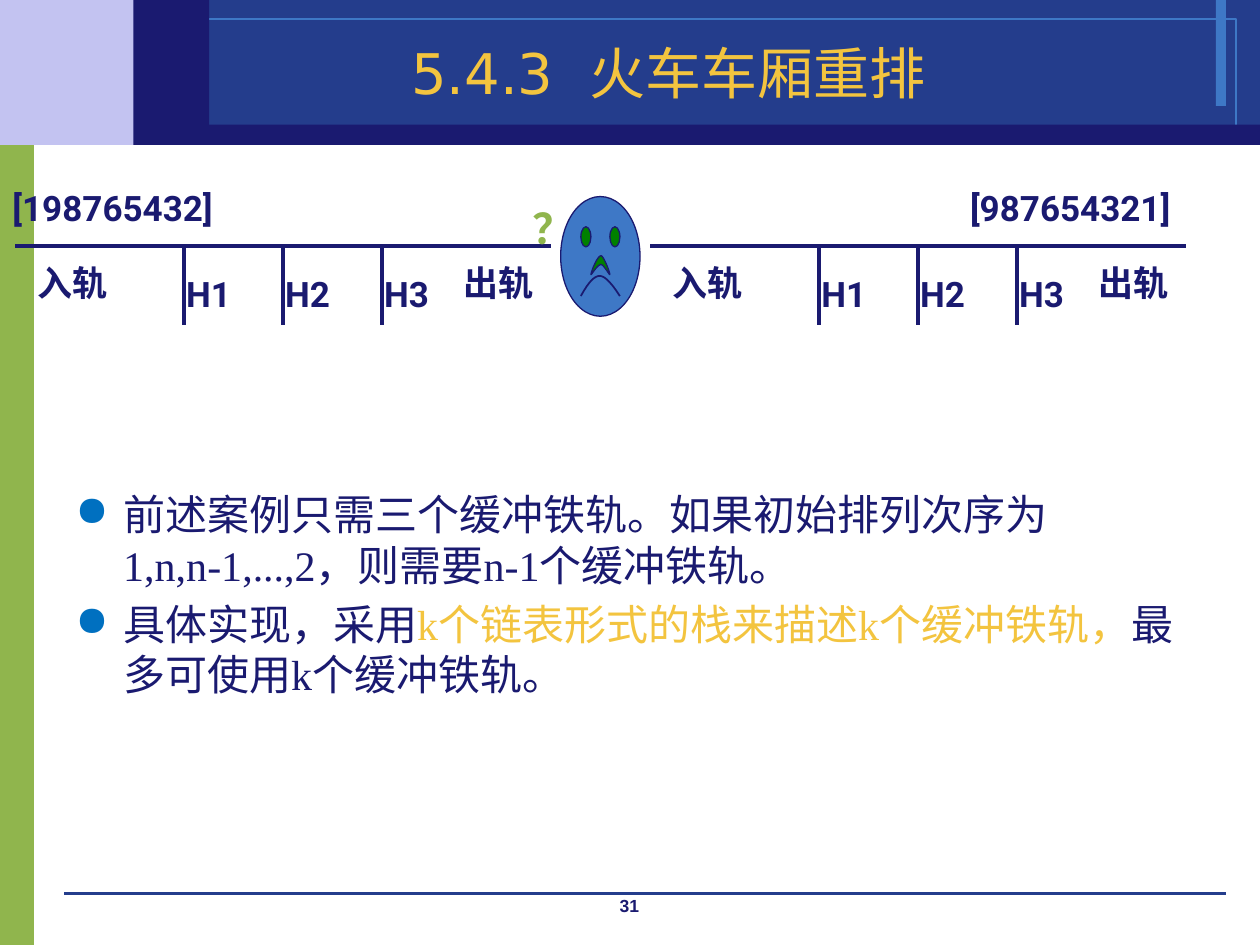
from lxml import etree
from pptx import Presentation
from pptx.dml.color import RGBColor
from pptx.enum.shapes import MSO_CONNECTOR, MSO_SHAPE
from pptx.enum.text import MSO_ANCHOR, PP_ALIGN
from pptx.oxml.ns import qn
from pptx.util import Inches, Pt

RECT, OVAL, STRAIGHT = MSO_SHAPE.RECTANGLE, MSO_SHAPE.OVAL, MSO_CONNECTOR.STRAIGHT
CENTER, MIDDLE = PP_ALIGN.CENTER, MSO_ANCHOR.MIDDLE
NAVY, BLUE, SKY, LILAC = "1A1A70", "243D8C", "3E78C6", "C3C3F1"
GREEN, DARK_GREEN, GOLD, BULLET = "90B54D", "008000", "F3C43F", "0070C0"
rgb = RGBColor.from_string


def paint(shape, fill, line=None, width=0.75):
    shape.shadow.inherit = False
    if fill:
        shape.fill.solid()
        shape.fill.fore_color.rgb = rgb(fill)
    else:
        shape.fill.background()
    if line:
        shape.line.color.rgb = rgb(line)
        shape.line.width = Pt(width)
    else:
        shape.line.fill.background()


def write(paragraph, text, size, font, color, bold=False):
    run = paragraph.add_run()
    run.text = text
    run.font.size = Pt(size)
    run.font.name = font
    run.font.bold = bold
    run.font.color.rgb = rgb(color)


prs = Presentation()
prs.slide_width, prs.slide_height = Inches(10), Inches(7.5)
slide = prs.slides.add_slide(prs.slide_layouts[5])
shapes = slide.shapes

# Header bands and side bar
for x, y, w, h, fill, line in [
    (0, 1.07, 0.27, 6.43, GREEN, None),
    (0, 0, 1.53, 1.15, LILAC, None),
    (1.53, 0, 8.47, 1.15, BLUE, None),
    (9.65, 0, 0.08, 0.84, SKY, None),
    (1.19, 0.15, 8.62, 0.85, None, SKY),
    (1.3, 0.99, 8.7, 0.16, NAVY, None),
    (1.06, 0, 0.6, 1.15, NAVY, None),
]:
    band = shapes.add_shape(RECT, Inches(x), Inches(y), Inches(w), Inches(h))
    paint(band, fill, line, 0)

# Title, brought in front of the header
title = shapes.title
title.left, title.top = Inches(1.19), Inches(0.26)
title.width, title.height = Inches(8.23), Inches(0.62)
title.text_frame.vertical_anchor = MIDDLE
heading = title.text_frame.paragraphs[0]
heading.alignment = CENTER
write(heading, "5.4.3  火车车厢重排", 32, "DejaVu Sans", GOLD)
title._element.getparent().append(title._element)

# Bulleted text
body = shapes.add_textbox(Inches(0.5), Inches(3.83), Inches(9), Inches(2.7)).text_frame
body.word_wrap = True
points = [
    [("前述案例只需三个缓冲铁轨。如果初始排列次序为1,n,n-1,...,2，则需要n-1个缓冲铁轨。", NAVY)],
    [("具体实现，采用", NAVY), ("k个链表形式的栈来描述k个缓冲铁轨，", GOLD),
     ("最多可使用k个缓冲铁轨。", NAVY)],
]
for i, point in enumerate(points):
    paragraph = body.add_paragraph() if i else body.paragraphs[0]
    if i:
        paragraph.space_before = Pt(5)
    props = paragraph._p.get_or_add_pPr()
    props.set("marL", str(Inches(0.38)))
    props.set("indent", str(-Inches(0.38)))
    bullet_color = etree.SubElement(props, qn("a:buClr"))
    etree.SubElement(bullet_color, qn("a:srgbClr"), val=BULLET)
    etree.SubElement(props, qn("a:buChar"), char="●")
    for text, color in point:
        write(paragraph, text, 24, "Times New Roman", color)

# Rules and labels: footer, then the two track diagrams
rules = [(0.51, 7.09, 9.73, 7.09, BLUE, 0)]
labels = [(4.13, 1.56, 0.32, 0.5, "？", 24, "Times New Roman", GREEN)]
rail_y, siding_gap = 1.95, 0.785
for start, train, train_x in [(0.12, "[198765432]", 0), (5.16, "[987654321]", 7.6)]:
    rules.append((start, rail_y, start + 4.25, rail_y, NAVY, 2.25))
    labels.append((train_x, 1.43, 2.05, 0.43, train, 20, "Roboto", NAVY))
    for i in range(3):
        siding_x = start + 1.34 + i * siding_gap
        rules.append((siding_x, rail_y, siding_x, 2.58, NAVY, 2.25))
        labels.append((siding_x - 0.08, 2.11, 0.63, 0.43, f"H{i + 1}", 20, "Roboto", NAVY))
    for offset, end_name in [(0.08, "入轨"), (3.46, "出轨")]:
        labels.append((start + offset, 2.03, 0.79, 0.43, end_name, 20, "Roboto", NAVY))

for x1, y1, x2, y2, color, width in rules:
    rule = shapes.add_connector(STRAIGHT, Inches(x1), Inches(y1), Inches(x2), Inches(y2))
    rule.line.color.rgb = rgb(color)
    rule.line.width = Pt(width)
    etree.SubElement(rule._element.spPr, qn("a:effectLst"))

for x, y, w, h, text, size, font, color in labels:
    label = shapes.add_textbox(Inches(x), Inches(y), Inches(w), Inches(h)).text_frame
    label.word_wrap = True
    write(label.paragraphs[0], text, size, font, color, True)

# Slide number
number = shapes.add_textbox(Inches(3.83), Inches(7.05), Inches(2.33), Inches(0.25))
number.text_frame.word_wrap = True
number.text_frame.paragraphs[0].alignment = CENTER
write(number.text_frame.paragraphs[0], "31", 10, "Arial", NAVY, True)

# Sad face: head and eyes
for x, y, w, h, fill in [
    (4.45, 1.56, 0.63, 0.95, SKY),
    (4.61, 1.8, 0.08, 0.16, DARK_GREEN),
    (4.84, 1.8, 0.08, 0.16, DARK_GREEN),
]:
    paint(shapes.add_shape(OVAL, Inches(x), Inches(y), Inches(w), Inches(h)), fill, NAVY)

# Mouth and nose, traced along cubic curves
mouth = [(4.61, 2.35), (4.66, 2.26), (4.71, 2.19), (4.76, 2.19),
         (4.82, 2.19), (4.9, 2.32), (4.92, 2.35)]
nose = [(4.69, 2.18), (4.69, 2.19), (4.74, 2.1), (4.77, 2.1), (4.79, 2.1), (4.84, 2.19),
        (4.84, 2.18), (4.84, 2.16), (4.79, 2.03), (4.77, 2.03), (4.74, 2.03),
        (4.69, 2.16), (4.69, 2.18)]
STEPS = 12
for controls, closed, fill, width in [(mouth, False, None, 1), (nose, True, DARK_GREEN, 0.75)]:
    trace = []
    for k in range(0, len(controls) - 1, 3):
        for step in range(1, STEPS + 1):
            t = step / STEPS
            weights = ((1 - t) ** 3, 3 * t * (1 - t) ** 2, 3 * t * t * (1 - t), t ** 3)
            trace.append(tuple(
                Inches(sum(f * point[axis] for f, point in zip(weights, controls[k:k + 4])))
                for axis in (0, 1)))
    first_x, first_y = controls[0]
    builder = shapes.build_freeform(Inches(first_x), Inches(first_y))
    builder.add_line_segments(trace, close=closed)
    paint(builder.convert_to_shape(), fill, NAVY, width)

prs.save("out.pptx")
